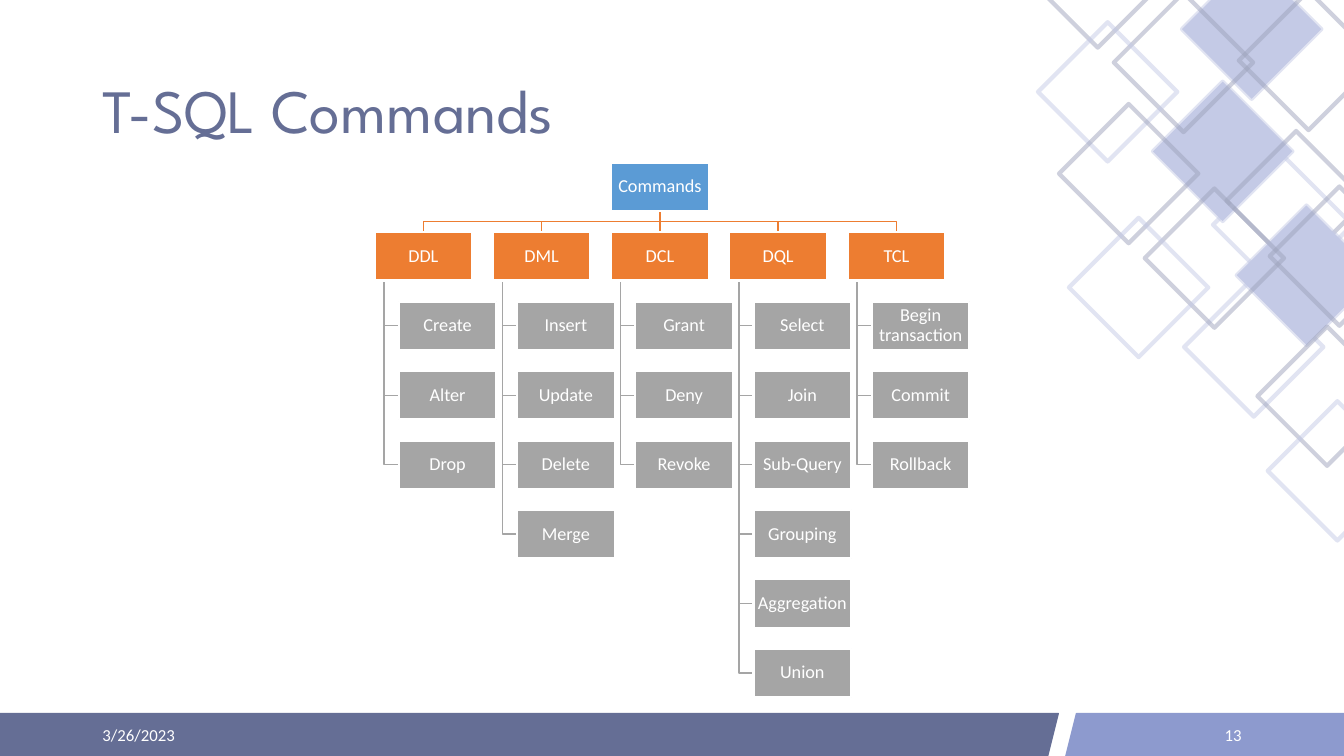
"""Build the T-SQL Commands slide: a hierarchy of command groups and their statements."""
from lxml import etree
from pptx import Presentation
from pptx.dml.color import RGBColor
from pptx.enum import shapes, text
from pptx.oxml import ns
from pptx.util import Cm, Pt

TITLE = "T-SQL Commands"
ROOT = "Commands"
GROUPS = {
    "DDL": ["Create", "Alter", "Drop"],
    "DML": ["Insert", "Update", "Delete", "Merge"],
    "DCL": ["Grant", "Deny", "Revoke"],
    "DQL": ["Select", "Join", "Sub-Query", "Grouping", "Aggregation", "Union"],
    "TCL": ["Begin transaction", "Commit", "Rollback"],
}
DATE, NUMBER = "3/26/2023", "13"

WHITE, SLATE, PERIWINKLE = "FFFFFF", "656E95", "8D9ACE"
BLUE, ORANGE, GRAY = "5B9BD5", "ED7D31", "A5A5A5"
LAVENDER, STEEL = "C4CAE6", "9EA3BC"

FOOTER_BARS = [(-1.22, 27.89, SLATE), (26.85, 7.47, PERIWINKLE)]
DIAMONDS = [
    (29.79, -1.02, LAVENDER, True),
    (31.22, -0.23, STEEL, False),
    (29.06, 2.06, LAVENDER, True),
    (28.07, -0.18, STEEL, False),
    (30.91, 3.3, STEEL, False),
    (31.17, 5.18, LAVENDER, True),
    (25.91, -2.31, STEEL, False),
    (26.16, 0.56, LAVENDER, False),
]
DIAMOND_SIZE = 3.51
CLUSTER_SHIFT = (0.78, 4.93)

BOX_WIDTH, BOX_HEIGHT = 2.46, 1.22
CHART_LEFT, CHART_TOP = 9.44, 4.1
COLUMN_STEP, ROW_STEP = 2.98, 1.75
LEAF_INDENT, SPINE_INDENT = 0.61, 0.24

presentation = Presentation()
presentation.slide_width, presentation.slide_height = Cm(33.87), Cm(19.05)
slide = presentation.slides.add_slide(presentation.slide_layouts[5])


def color(value):
    return RGBColor.from_string(value)


def write(shape, words, size=13, font="Calibri", fill=WHITE, align="CENTER", spacing=None, inset=None):
    frame = shape.text_frame
    frame.word_wrap = True
    frame.auto_size = text.MSO_AUTO_SIZE.NONE
    frame.vertical_anchor = text.MSO_ANCHOR.MIDDLE
    if inset is not None:
        frame.margin_left = frame.margin_right = Cm(inset)
        frame.margin_top = frame.margin_bottom = Cm(inset)
    paragraph = frame.paragraphs[0]
    paragraph.alignment = text.PP_ALIGN[align]
    paragraph.line_spacing = spacing
    run = paragraph.add_run()
    run.text = words
    run.font.size, run.font.name = Pt(size), font
    run.font.color.rgb = color(fill)


def add_preset(kind, left, top, width, height, fill, line, weight):
    shape = slide.shapes.add_shape(kind, Cm(left), Cm(top), Cm(width), Cm(height))
    shape.shadow.inherit = False
    if fill:
        shape.fill.solid()
        shape.fill.fore_color.rgb = color(fill)
    else:
        shape.fill.background()
    shape.line.color.rgb = color(line)
    shape.line.width = Pt(weight)
    return shape


def add_diamond(left, top, tint, filled):
    diamond = add_preset(shapes.MSO_SHAPE.DIAMOND, left, top, DIAMOND_SIZE, DIAMOND_SIZE,
                         tint if filled else None, tint, 3)
    line_color = diamond.line._ln.find(".//" + ns.qn("a:srgbClr"))
    etree.SubElement(line_color, ns.qn("a:alpha"), val="50000")


def add_box(words, left, top, fill):
    box = add_preset(shapes.MSO_SHAPE.RECTANGLE, left, top, BOX_WIDTH, BOX_HEIGHT, fill, WHITE, 1.5)
    write(box, words, spacing=0.9, inset=0.02)


def add_link(points, tint):
    corners = [(Cm(x), Cm(y)) for x, y in points]
    if len({x for x, _ in corners}) == 1:
        link = slide.shapes.add_connector(shapes.MSO_CONNECTOR.STRAIGHT, *corners[0], *corners[-1])
        etree.SubElement(link._element.spPr, ns.qn("a:effectLst"))
    else:
        builder = slide.shapes.build_freeform(*corners[0])
        builder.add_line_segments(corners[1:], close=False)
        link = builder.convert_to_shape()
        link.fill.background()
        link.shadow.inherit = False
    link.line.color.rgb = color(tint)
    link.line.width = Pt(1)


def add_label(words, left, align):
    label = slide.shapes.add_textbox(Cm(left), Cm(18.01), Cm(7.62), Cm(1.02))
    write(label, words, size=12, align=align)


def row_top(row):
    return CHART_TOP + row * ROW_STEP


for left, width, tint in FOOTER_BARS:
    add_preset(shapes.MSO_SHAPE.PARALLELOGRAM, left, 17.98, width, 1.12, tint, tint, 1)
for left, top, tint, filled in DIAMONDS:
    add_diamond(left, top, tint, filled)
for index, (left, top, tint, filled) in enumerate(DIAMONDS):
    add_diamond(left + CLUSTER_SHIFT[0], top + CLUSTER_SHIFT[1], tint, False)

title = slide.shapes.title
title.left, title.top, title.width, title.height = Cm(2.33), Cm(1.01), Cm(29.21), Cm(3.68)
write(title, TITLE, size=44, font="League Spartan", fill=SLATE, align="LEFT", spacing=0.9)
add_label(DATE, 2.33, "LEFT")
add_label(NUMBER, 23.92, "RIGHT")

columns = [CHART_LEFT + index * COLUMN_STEP for index in range(len(GROUPS))]
root_left = columns[len(columns) // 2]
root_center, root_bottom = root_left + BOX_WIDTH / 2, CHART_TOP + BOX_HEIGHT
group_top = row_top(1)
bus = (root_bottom + group_top) / 2

for left, leaves in zip(columns, GROUPS.values()):
    center, spine = left + BOX_WIDTH / 2, left + SPINE_INDENT
    add_link([(root_center, root_bottom), (root_center, bus), (center, bus), (center, group_top)], ORANGE)
    for row in range(2, len(leaves) + 2):
        middle = row_top(row) + BOX_HEIGHT / 2
        add_link([(spine, group_top + BOX_HEIGHT), (spine, middle), (left + LEAF_INDENT, middle)], GRAY)

add_box(ROOT, root_left, CHART_TOP, BLUE)
for left, (group, leaves) in zip(columns, GROUPS.items()):
    add_box(group, left, group_top, ORANGE)
    for row, leaf in enumerate(leaves, start=2):
        add_box(leaf, left + LEAF_INDENT, row_top(row), GRAY)

presentation.save("out.pptx")
